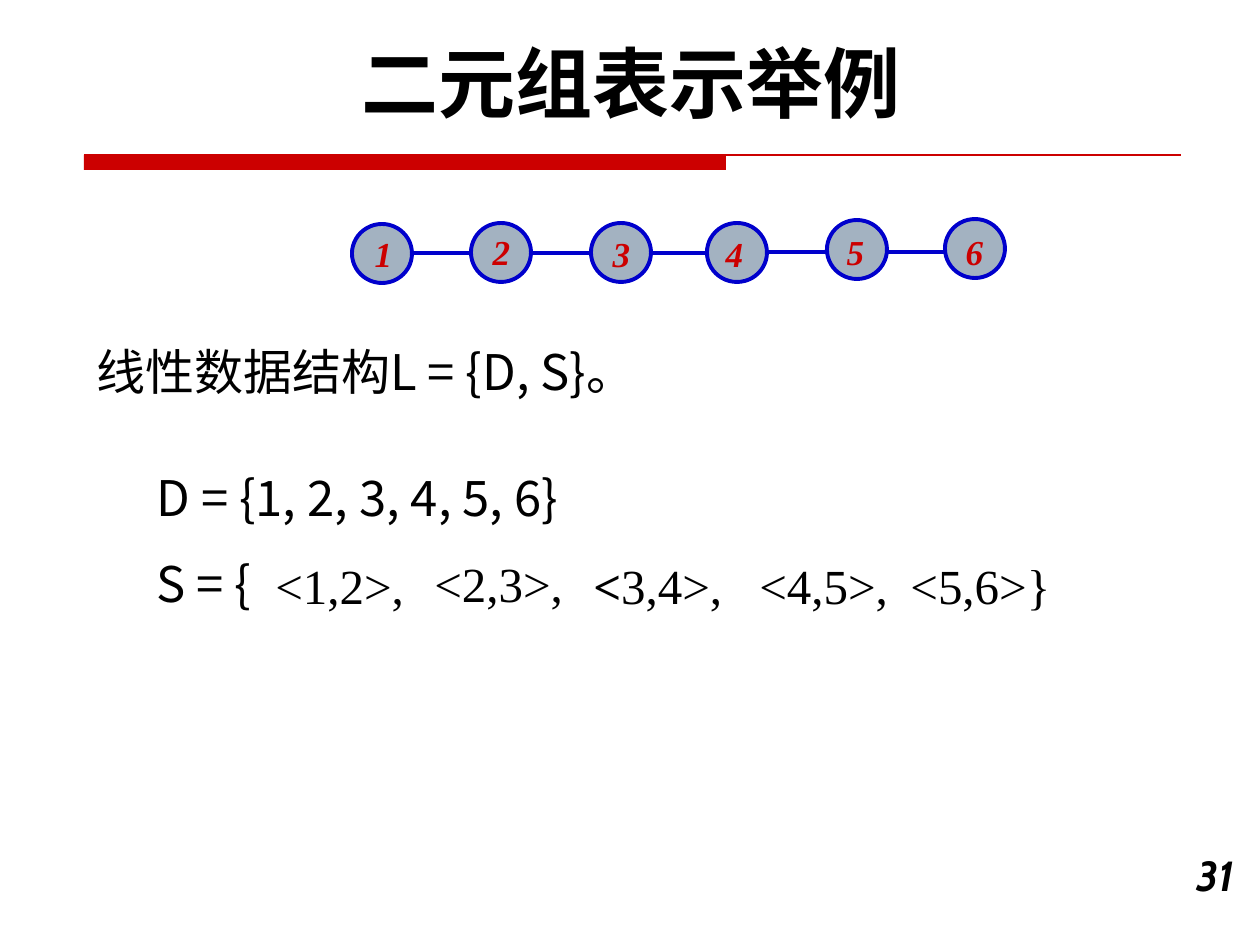
import pptx
import pptx.dml.color
import pptx.enum.shapes
import pptx.enum.text
import pptx.oxml
import pptx.oxml.ns
import pptx.util

RED = pptx.dml.color.RGBColor(0xCC, 0x00, 0x00)
BLUE = pptx.dml.color.RGBColor(0x00, 0x00, 0xCC)
GREY = pptx.dml.color.RGBColor(0xA3, 0xB2, 0xC1)
BLACK = pptx.dml.color.RGBColor(0x00, 0x00, 0x00)
SANS, SERIF, HEADING = "Noto Sans CJK SC", "Times New Roman", "Cabin"
ALIGN = pptx.enum.text.PP_ALIGN
SCALE = 914400 / 126  # EMU per px

presentation = pptx.Presentation()
presentation.slide_width = round(1260 * SCALE)
presentation.slide_height = round(945 * SCALE)
slide = presentation.slides.add_slide(presentation.slide_layouts[1])
shapes = slide.shapes


def write(shape, box, runs, font, size, color=BLACK, align=ALIGN.LEFT, italic=False, wrap=True):
    """Place a text shape and fill its paragraph with (text, bold) runs."""
    shape.left, shape.top, shape.width, shape.height = [round(v * SCALE) for v in box]
    frame = shape.text_frame
    frame.word_wrap = wrap
    frame.auto_size = pptx.enum.text.MSO_AUTO_SIZE.NONE
    paragraph = frame.paragraphs[0]
    paragraph.alignment = align
    for text, bold in runs:
        run = paragraph.add_run()
        run.text = text
        run.font.name = font
        run.font.size = pptx.util.Pt(size)
        run.font.bold = bold
        run.font.italic = italic
        run.font.color.rgb = color
        east_asian = pptx.oxml.parse_xml(
            f'<a:ea {pptx.oxml.ns.nsdecls("a")} typeface="{SANS if font == HEADING else font}"/>')
        run.font._element.find(pptx.oxml.ns.qn("a:latin")).addnext(east_asian)
    return paragraph


def add_line(x1, y1, x2, y2, color, width):
    line = shapes.add_connector(pptx.enum.shapes.MSO_CONNECTOR.STRAIGHT,
                                *[round(v * SCALE) for v in (x1, y1, x2, y2)])
    line.line.color.rgb = color
    line.line.width = pptx.util.Pt(width)
    line._element.spPr.append(
        pptx.oxml.parse_xml(f'<a:effectLst {pptx.oxml.ns.nsdecls("a")}/>'))


# Title
write(shapes.title, (48, 29, 1166, 106), [("二元组表示举例", True)], HEADING, 44, align=ALIGN.CENTER)

# Rule under the title: thick bar, then a thin line to the right
bar = shapes.add_shape(pptx.enum.shapes.MSO_SHAPE.RECTANGLE,
                       *[round(v * SCALE) for v in (84, 155, 642, 15)])
bar.shadow.inherit = False
bar.fill.solid()
bar.fill.fore_color.rgb = RED
bar.line.fill.background()
add_line(84, 155, 1181, 155, RED, 0.75)

# Body sentence, without a bullet
body = slide.placeholders[1]
properties = body.text_frame.paragraphs[0]._p.get_or_add_pPr()
properties.set("marL", str(round(64 * SCALE)))
properties.set("indent", str(-round(64 * SCALE)))
properties.append(pptx.oxml.parse_xml(f'<a:buNone {pptx.oxml.ns.nsdecls("a")}/>'))
paragraph = write(body, (84, 335, 1176, 209), [("线性数据结构L = {D, S}。", False)], SANS, 28)
paragraph.space_before = pptx.util.Pt(0)

# Chain of nodes: circle left and top, label left and top
nodes = [(352, 224, 362, 231), (471, 223, 480, 229), (591, 223, 600, 231),
         (707, 223, 713, 231), (827, 220, 834, 229), (945, 219, 953, 229)]
link_heights = [253, 253, 253, 252, 252]
for node, following, y in zip(nodes, nodes[1:], link_heights):
    add_line(node[0] + 60, y, following[0], y, BLUE, 2.25)
for number, (left, top, label_left, label_top) in enumerate(nodes, 1):
    circle = shapes.add_shape(pptx.enum.shapes.MSO_SHAPE.OVAL,
                              *[round(v * SCALE) for v in (left, top, 60, 59)])
    circle.shadow.inherit = False
    circle.fill.solid()
    circle.fill.fore_color.rgb = GREY
    circle.line.color.rgb = BLUE
    circle.line.width = pptx.util.Pt(2.25)
    label = write(shapes.add_textbox(0, 0, 0, 0), (label_left, label_top, 43, 50),
                  [(str(number), True)], SERIF, 20, RED, ALIGN.CENTER, italic=True, wrap=False)
    label.line_spacing = 0.9

# Sets D and S
set_parts = [
    ((144, 461, 963, 72), [("D = {1, 2, 3, 4, 5, 6}", False)], SANS),
    ((144, 547, 169, 72), [("S = {", False)], SANS),
    ((263, 549, 179, 72), [("<1,2>,", False)], SERIF),
    ((422, 547, 179, 72), [("<2,3>,", False)], SERIF),
    ((581, 549, 179, 72), [("<", True), ("3,4>,", False)], SERIF),
    ((747, 549, 179, 72), [("<4,5>,", False)], SERIF),
    ((898, 549, 218, 72), [("<5,6>}", False)], SERIF),
]
for box, runs, font in set_parts:
    write(shapes.add_textbox(0, 0, 0, 0), box, runs, font, 28)

# Page number
write(shapes.add_textbox(0, 0, 0, 0), (1162, 843, 84, 63), [("31", True)],
      HEADING, 24, align=ALIGN.RIGHT, italic=True)

presentation.save("out.pptx")
